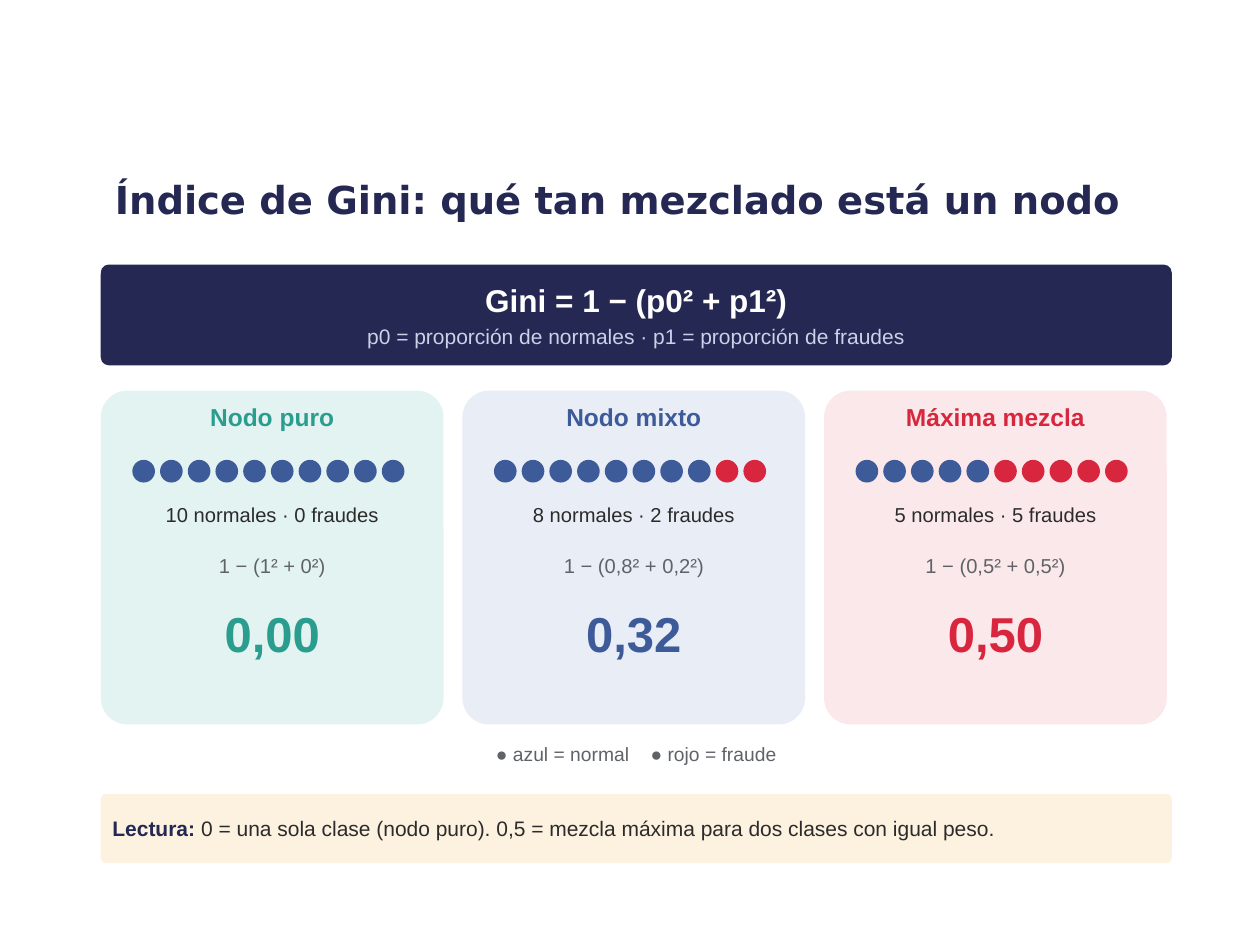
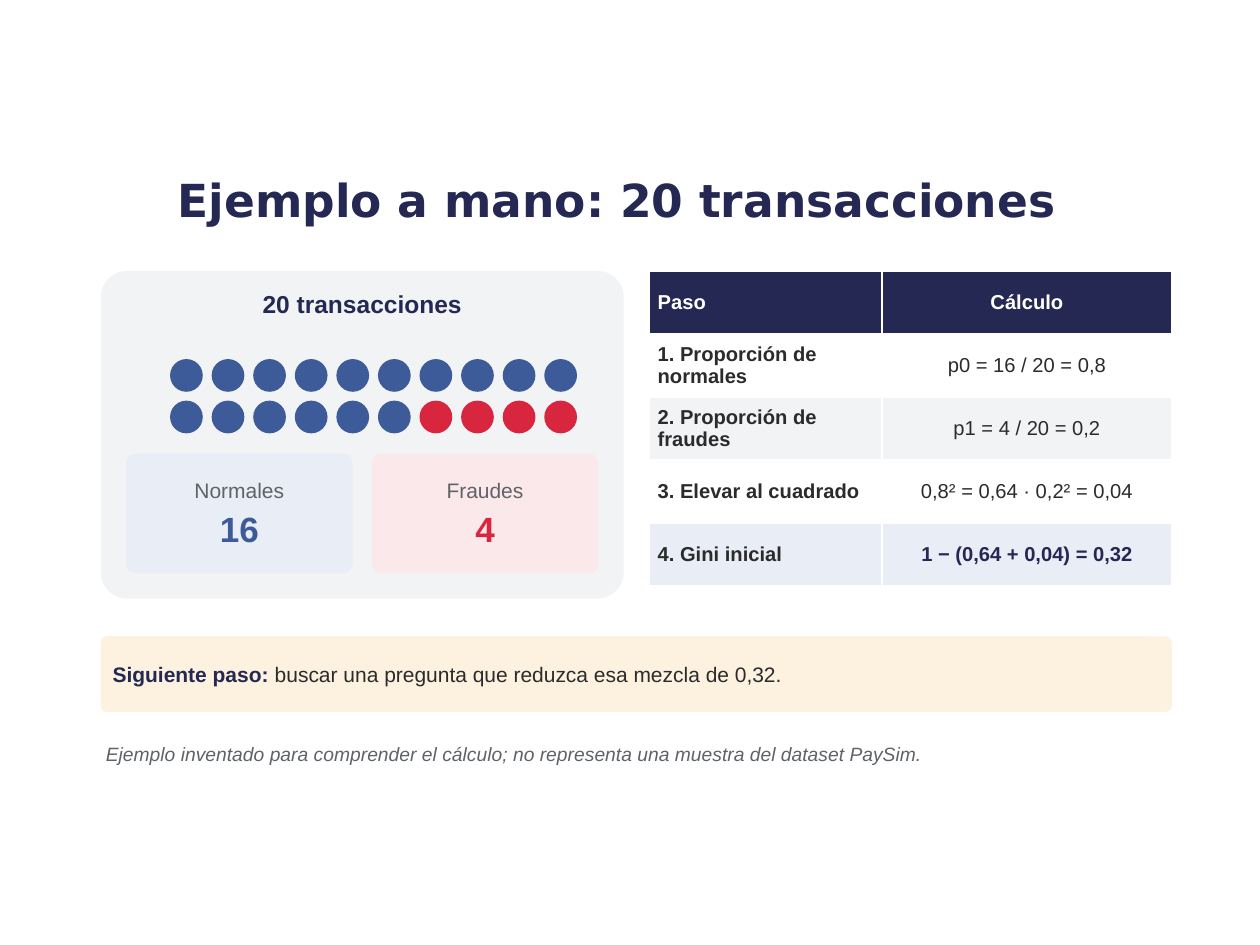
"""Builds two slides that explain the Gini index of a decision tree node."""
from pptx import Presentation
from pptx.dml.color import RGBColor
from pptx.enum.shapes import MSO_SHAPE as Shape
from pptx.enum.text import MSO_ANCHOR as Anchor, MSO_AUTO_SIZE as AutoSize, PP_ALIGN as Align
from pptx.util import Emu, Pt

SCALE = 9144
NAVY, BLUE, RED, TEAL = "242852", "3D5A99", "D7263D", "2A9D8F"
INK, GREY, WHITE, PERIWINKLE = "2B2B2B", "5F6368", "FFFFFF", "C9D2E8"
PALE_BLUE, PALE_RED, PALE_TEAL = "E8EDF6", "FBE8EA", "E3F3F1"
PALE_GREY, CREAM = "F2F3F5", "FDF2E0"
LEFT, FULL_WIDTH = 80, 850


def px(length):
    return Emu(length * SCALE)


def rgb(code):
    return RGBColor.from_string(code)


def assign(target, values):
    for name, value in values.items():
        setattr(target, name, value)


def margins(across, down):
    return {"margin_left": px(across), "margin_right": px(across),
            "margin_top": px(down), "margin_bottom": px(down)}


class Deck:
    """Holds the shared style and the current slide."""
    TITLE = {"left": px(75), "top": px(118), "width": px(830), "height": px(80)}
    TITLE_FRAME = {"word_wrap": True, "auto_size": AutoSize.NONE,
                   "vertical_anchor": Anchor.MIDDLE, **margins(10, 5)}
    CARD_FRAME = {"word_wrap": True, "vertical_anchor": Anchor.MIDDLE, **margins(8, 8)}
    LABEL_FRAME = {"word_wrap": True, "auto_size": AutoSize.SHAPE_TO_FIT_TEXT,
                   "vertical_anchor": Anchor.TOP, **margins(4, 4)}
    CELL = {"vertical_anchor": Anchor.MIDDLE, **margins(7, 3)}

    def __init__(self):
        self.show = Presentation()
        assign(self.show, {"slide_width": px(1000), "slide_height": px(750)})
        self.slide = None

    def add_piece(self, paragraph, text, size, color, bold=False, italic=False,
                  face="Arial", tracking=0):
        piece = paragraph.add_run()
        piece.text = text
        assign(piece.font, {"size": Pt(size), "name": face, "bold": bold, "italic": italic})
        piece.font.color.rgb = rgb(color)
        if tracking:
            piece.font._element.set("spc", str(tracking))

    def add_lines(self, frame, lines, align=Align.CENTER, after=0):
        for index, line in enumerate(lines):
            paragraph = frame.add_paragraph() if index else frame.paragraphs[0]
            assign(paragraph, {"alignment": align, "space_after": Pt(after)})
            for piece in line:
                self.add_piece(paragraph, **piece)

    def add_slide(self, heading, size):
        self.slide = self.show.slides.add_slide(self.show.slide_layouts[5])
        title = self.slide.shapes.title
        assign(title, self.TITLE)
        assign(title.text_frame, self.TITLE_FRAME)
        self.add_lines(title.text_frame, [[dict(text=heading, size=size, color=NAVY, bold=True,
                                                face="DejaVu Sans")]])

    def figure(self, kind, left, top, width, height, fill):
        figure = self.slide.shapes.add_shape(kind, px(left), px(top), px(width), px(height))
        figure.shadow.inherit = False
        figure.fill.solid()
        figure.fill.fore_color.rgb = rgb(fill)
        figure.line.fill.background()
        return figure

    def card(self, left, top, width, height, fill, lines=(), align=Align.CENTER):
        card = self.figure(Shape.ROUNDED_RECTANGLE, left, top, width, height, fill)
        card.adjustments[0] = 0.08
        assign(card.text_frame, self.CARD_FRAME)
        self.add_lines(card.text_frame, lines, align, after=3)

    def label(self, left, top, width, height, *pieces, align=Align.CENTER):
        box = self.slide.shapes.add_textbox(px(left), px(top), px(width), px(height))
        assign(box.text_frame, self.LABEL_FRAME)
        self.add_lines(box.text_frame, [pieces], align, after=4)

    def dots(self, left, top, size, pitch, normals, frauds, per_row=10):
        for index in range(normals + frauds):
            row, column = divmod(index, per_row)
            self.figure(Shape.OVAL, left + column * pitch, top + row * pitch, size, size,
                        BLUE if index < normals else RED)

    def note(self, top, height, lead, message):
        self.card(LEFT, top, FULL_WIDTH, height, CREAM,
                  [[dict(text=lead, size=12, color=NAVY, bold=True),
                    dict(text=message, size=12, color=INK)]], Align.LEFT)

    def table(self, left, top, widths, row_height, rows, fills):
        grid = self.slide.shapes.add_table(len(rows), len(widths), px(left), px(top),
                                           px(sum(widths)), px(row_height * len(rows))).table
        for column, width in zip(grid.columns, widths):
            column.width = px(width)
        last = len(rows) - 1
        for r, (texts, fill) in enumerate(zip(rows, fills)):
            for c, text in enumerate(texts):
                cell = grid.cell(r, c)
                assign(cell, self.CELL)
                cell.fill.solid()
                cell.fill.fore_color.rgb = rgb(fill)
                color = WHITE if r == 0 else NAVY if (r, c) == (last, 1) else INK
                self.add_lines(cell.text_frame,
                               [[dict(text=text, size=11.5, color=color,
                                      bold=c == 0 or r in (0, last))]],
                               Align.CENTER if c else Align.LEFT)


def gini_index(deck):
    deck.add_slide("Índice de Gini: qué tan mezclado está un nodo", 22)
    deck.card(LEFT, 210, FULL_WIDTH, 80, NAVY, [
        [dict(text="Gini = 1 − (p0² + p1²)", size=18, color=WHITE, bold=True)],
        [dict(text="p0 = proporción de normales · p1 = proporción de fraudes",
              size=12, color=PERIWINKLE)]])
    nodes = [("Nodo puro", 10, "1 − (1² + 0²)", "0,00", TEAL, PALE_TEAL),
             ("Nodo mixto", 8, "1 − (0,8² + 0,2²)", "0,32", BLUE, PALE_BLUE),
             ("Máxima mezcla", 5, "1 − (0,5² + 0,5²)", "0,50", RED, PALE_RED)]
    width, gap = 272, 15
    for index, (name, normals, formula, gini, accent, tint) in enumerate(nodes):
        left = LEFT + index * (width + gap)
        frauds = 10 - normals
        deck.card(left, 310, width, 265, tint)
        deck.label(left, 315, width, 40, dict(text=name, size=14, color=accent, bold=True))
        deck.dots(left + 25, 365, 18, 22, normals, frauds)
        deck.label(left, 395, width, 35,
                   dict(text=f"{normals} normales · {frauds} fraudes", size=11.5, color=INK))
        deck.label(left, 435, width, 35, dict(text=formula, size=11.5, color=GREY))
        deck.label(left, 475, width, 75, dict(text=gini, size=28, color=accent, bold=True))
    deck.label(LEFT, 585, FULL_WIDTH, 35,
               dict(text="● azul = normal", size=11, color=GREY),
               dict(text=" ", size=11, color=GREY, tracking=900),
               dict(text="● rojo = fraude", size=11, color=GREY))
    deck.note(630, 55, "Lectura: ",
              "0 = una sola clase (nodo puro). 0,5 = mezcla máxima para dos clases con igual peso.")


def worked_example(deck):
    deck.add_slide("Ejemplo a mano: 20 transacciones", 26)
    deck.card(LEFT, 215, 415, 260, PALE_GREY)
    deck.label(LEFT, 225, 415, 40,
               dict(text="20 transacciones", size=14, color=NAVY, bold=True))
    deck.dots(135, 285, 26, 33, 16, 4)
    counts = [("Normales", 16, BLUE, PALE_BLUE), ("Fraudes", 4, RED, PALE_RED)]
    for index, (group, count, accent, tint) in enumerate(counts):
        deck.card(100 + index * 195, 360, 180, 95, tint, [
            [dict(text=group, size=12, color=GREY)],
            [dict(text=str(count), size=20, color=accent, bold=True)]])
    steps = [("Paso", "Cálculo"),
             ("1. Proporción de normales", "p0 = 16 / 20 = 0,8"),
             ("2. Proporción de fraudes", "p1 = 4 / 20 = 0,2"),
             ("3. Elevar al cuadrado", "0,8² = 0,64 · 0,2² = 0,04"),
             ("4. Gini inicial", "1 − (0,64 + 0,04) = 0,32")]
    deck.table(515, 215, (185, 230), 50, steps, (NAVY, WHITE, PALE_GREY, WHITE, PALE_BLUE))
    deck.note(505, 60, "Siguiente paso: ", "buscar una pregunta que reduzca esa mezcla de 0,32.")
    deck.label(LEFT, 585, FULL_WIDTH, 40,
               dict(text="Ejemplo inventado para comprender el cálculo; "
                         "no representa una muestra del dataset PaySim.",
                    size=11, color=GREY, italic=True), align=Align.LEFT)


def main():
    deck = Deck()
    gini_index(deck)
    worked_example(deck)
    deck.show.save("out.pptx")


if __name__ == "__main__":
    main()
